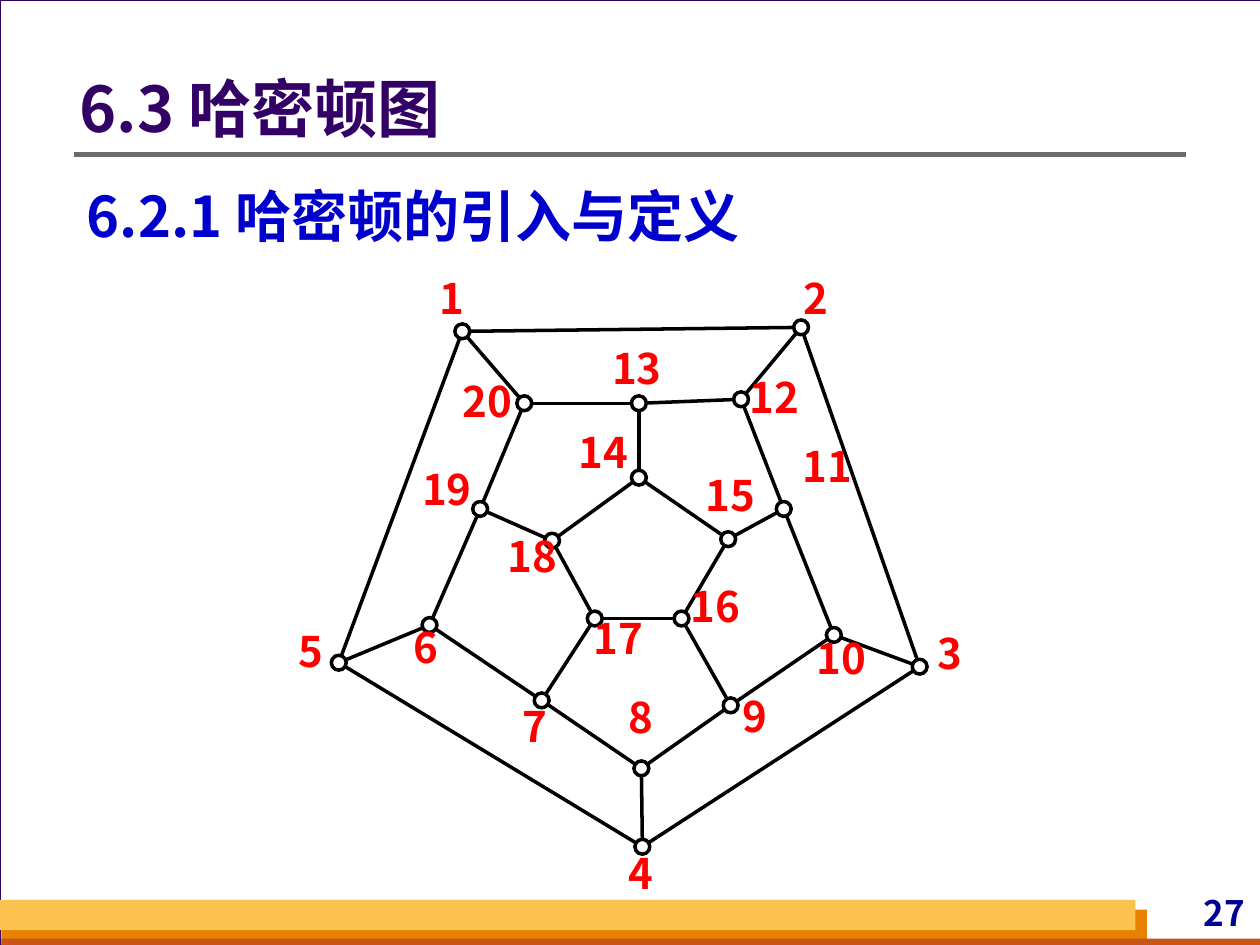
from math import hypot

from lxml import etree
from pptx import Presentation
from pptx.dml.color import RGBColor
from pptx.enum.shapes import MSO_CONNECTOR, MSO_SHAPE
from pptx.enum.text import MSO_ANCHOR, MSO_AUTO_SIZE, PP_ALIGN
from pptx.oxml.ns import qn
from pptx.util import Cm, Pt

RECTANGLE, OVAL = MSO_SHAPE.RECTANGLE, MSO_SHAPE.OVAL
STRAIGHT = MSO_CONNECTOR.STRAIGHT
LEFT, CENTER, RIGHT, JUSTIFY = PP_ALIGN.LEFT, PP_ALIGN.CENTER, PP_ALIGN.RIGHT, PP_ALIGN.JUSTIFY
TOP, MIDDLE = MSO_ANCHOR.TOP, MSO_ANCHOR.MIDDLE

FONT = "Noto Sans CJK SC"
COLORS = {
    "background": "D8DADA", "white": "FFFFFF", "title": "330066",
    "orange": "E88000", "rust": "C95616", "yellow": "FCC24F",
    "page_number": "000099", "rule": "6B6B6B", "subtitle": "0000CC",
    "graph": "000000", "label": "FF0000",
}
RADIUS = 0.15

# vertex: (centre x, centre y, label left, label top), in cm
VERTICES = {
    1: (9.32, 6.68, 8.81, 5.49),
    2: (16.15, 6.6, 16.15, 5.49),
    3: (18.54, 13.44, 18.85, 12.65),
    4: (12.95, 17.07, 12.62, 17.09),
    5: (6.83, 13.36, 5.97, 12.6),
    6: (8.66, 12.6, 8.28, 12.52),
    7: (10.92, 14.12, 10.49, 14.12),
    8: (12.93, 15.49, 12.62, 13.94),
    9: (14.73, 14.22, 14.91, 13.92),
    10: (16.81, 12.8, 16.36, 12.75),
    11: (15.8, 10.26, 16.08, 8.89),
    12: (14.94, 8.05, 15.01, 7.49),
    13: (12.88, 8.13, 12.24, 6.91),
    14: (12.88, 9.63, 11.56, 8.59),
    15: (14.68, 10.87, 14.12, 9.47),
    16: (13.74, 12.47, 13.82, 11.71),
    17: (11.99, 12.47, 11.86, 12.34),
    18: (11.13, 10.9, 10.13, 10.69),
    19: (9.68, 10.26, 8.41, 9.35),
    20: (10.57, 8.13, 9.22, 7.57),
}
# The Hamiltonian cycle visits the vertices in number order.
CYCLE = [(number, number % 20 + 1) for number in VERTICES]
CHORDS = [(1, 5), (2, 12), (3, 10), (4, 8), (6, 19),
          (7, 17), (9, 16), (11, 15), (13, 20), (14, 18)]


def color(name):
    return RGBColor.from_string(COLORS[name])


def add_shape(page, kind, place, fill=None, line=None, width=0.75):
    shape = page.shapes.add_shape(kind, *map(Cm, place))
    shape.shadow.inherit = False
    if fill:
        shape.fill.solid()
        shape.fill.fore_color.rgb = color(fill)
    else:
        shape.fill.background()
    if line:
        shape.line.color.rgb = color(line)
        shape.line.width = Pt(width)
    else:
        shape.line.fill.background()


def add_line(page, start, end, line, width):
    connector = page.shapes.add_connector(STRAIGHT, *map(Cm, (*start, *end)))
    connector.line.color.rgb = color(line)
    connector.line.width = Pt(width)
    etree.SubElement(connector._element.spPr, qn("a:effectLst"))


def write(box, text, size, ink, align, anchor=TOP, inset=(0, 0), spacing=1.0):
    """Fill a box with one bold paragraph; inset is (sides, top and bottom) in cm."""
    frame = box.text_frame
    frame.word_wrap = True
    frame.auto_size = MSO_AUTO_SIZE.NONE
    frame.vertical_anchor = anchor
    frame.margin_left = frame.margin_right = Cm(inset[0])
    frame.margin_top = frame.margin_bottom = Cm(inset[1])
    para = frame.paragraphs[0]
    para.alignment = align
    para.line_spacing = spacing
    para.space_before = Pt(0)
    span = para.add_run()
    span.text = text
    span.font.name = FONT
    span.font.size = Pt(size)
    span.font.bold = True
    span.font.color.rgb = color(ink)
    east_asian = etree.SubElement(span._r.get_or_add_rPr(), qn("a:ea"))
    east_asian.set("typeface", FONT)


def add_text(page, place, *content, **layout):
    write(page.shapes.add_textbox(*map(Cm, place)), *content, **layout)


def place_on_top(box, place):
    box.left, box.top, box.width, box.height = map(Cm, place)
    tree = box._element.getparent()
    tree.append(box._element)


def add_backdrop(page):
    page.background.fill.solid()
    page.background.fill.fore_color.rgb = color("background")
    add_shape(page, RECTANGLE, (0, 0, 25.43, 19.05), "white", "title")
    add_shape(page, RECTANGLE, (0.03, 18.34, 23.09, 0.71), "orange")
    add_shape(page, RECTANGLE, (0.03, 18.92, 25.4, 0.2), "rust")
    add_shape(page, RECTANGLE, (0, 18.14, 22.89, 0.61), "yellow")
    add_text(page, (22.1, 17.98, 3.1, 0.84), "27", 20, "page_number", RIGHT, inset=(0.1, 0))
    add_line(page, (1.5, 3.12), (23.9, 3.12), "rule", 3)


def add_headings(page):
    title, body = page.placeholders
    place_on_top(title, (1.5, 0.97, 22.4, 2.57))
    write(title, "6.3 哈密顿图", 36, "title", LEFT, MIDDLE, (0.1, 0), 0.9)
    place_on_top(body, (1.5, 3.4, 22.4, 1.88))
    properties = body.text_frame.paragraphs[0]._p.get_or_add_pPr()
    properties.set("marL", "0")
    properties.set("indent", "0")
    etree.SubElement(properties, qn("a:buNone"))
    write(body, "6.2.1 哈密顿的引入与定义", 32, "subtitle", JUSTIFY,
          inset=(0.25, 0.13), spacing=1.1)


def add_edge(page, first, second):
    """Join two vertices from rim to rim."""
    (x1, y1), (x2, y2) = VERTICES[first][:2], VERTICES[second][:2]
    trim = RADIUS / hypot(x2 - x1, y2 - y1)
    dx, dy = (x2 - x1) * trim, (y2 - y1) * trim
    add_line(page, (x1 + dx, y1 + dy), (x2 - dx, y2 - dy), "graph", 2)


def add_vertex(page, number):
    x, y, label_left, label_top = VERTICES[number]
    add_shape(page, OVAL, (x - RADIUS, y - RADIUS, 2 * RADIUS, 2 * RADIUS),
              line="graph", width=2)
    label = str(number)
    add_text(page, (label_left, label_top, 0.6 * len(label), 1.02),
             label, 24, "label", CENTER)


def main():
    deck = Presentation()
    deck.slide_width, deck.slide_height = Cm(25.4), Cm(19.05)
    page = deck.slides.add_slide(deck.slide_layouts[1])
    add_backdrop(page)
    add_headings(page)
    for first, second in CYCLE + CHORDS:
        add_edge(page, first, second)
    for number in VERTICES:
        add_vertex(page, number)
    deck.save("out.pptx")


if __name__ == "__main__":
    main()
